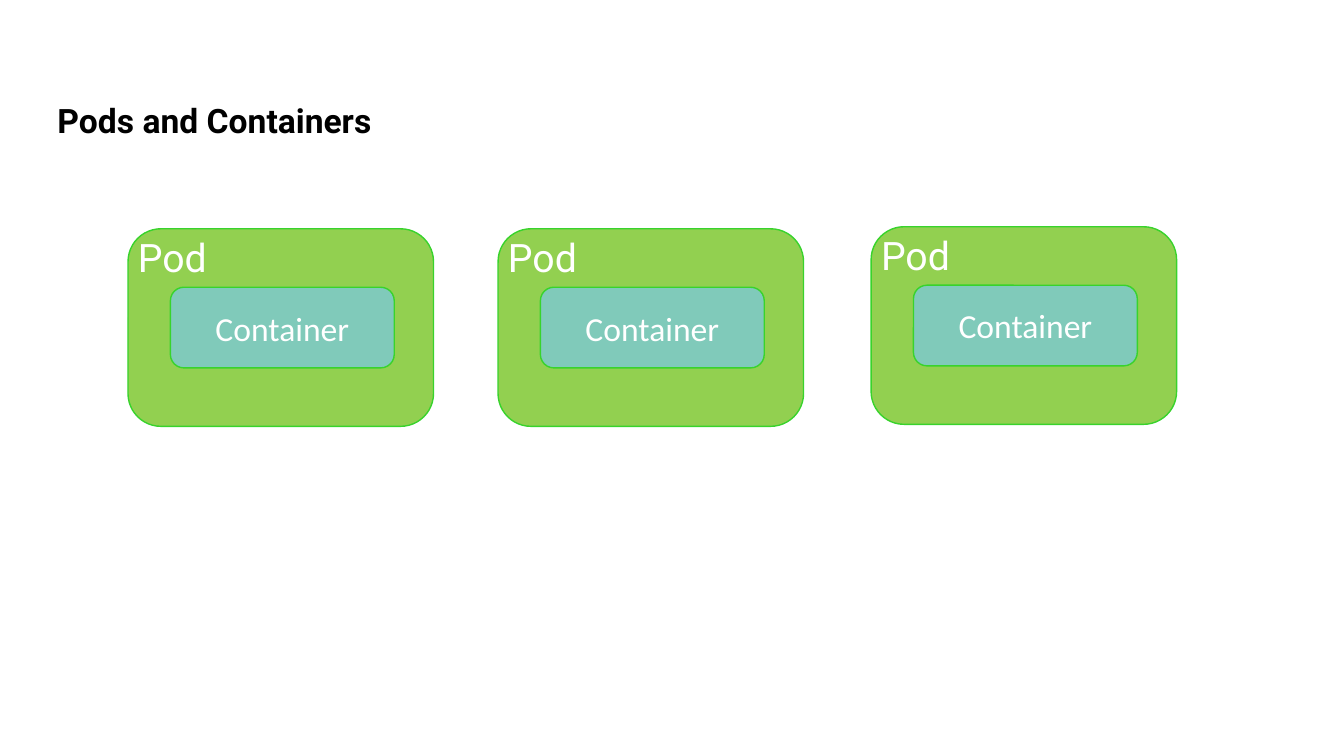
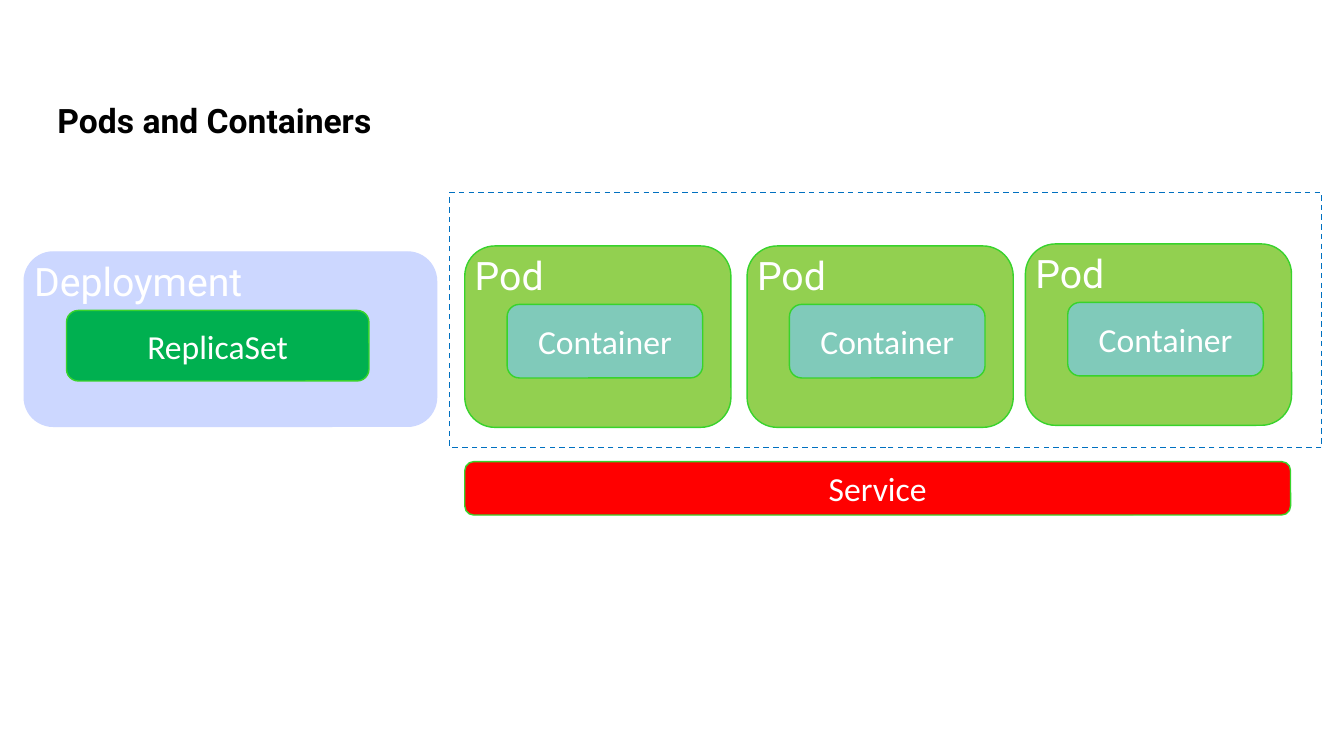
from dataclasses import dataclass
from pptx import Presentation
from pptx.dml.color import RGBColor as RGB
from pptx.enum.dml import MSO_LINE as Dash
from pptx.enum.shapes import MSO_SHAPE as Shape
from pptx.enum.text import MSO_ANCHOR as Anchor, MSO_AUTO_SIZE as Fit, PP_ALIGN as Align
from pptx.util import Pt

PX = 9144


@dataclass(frozen=True)
class Theme:
    ink: str = "000000"
    white: str = "FFFFFF"
    edge: str = "38D32C"
    pod: str = "92D050"
    box: str = "80CABA"
    deploy: str = "CCD7FF"
    replica: str = "00B050"
    service: str = "FF0000"
    dash: str = "0070C0"
    head: str = "Roboto"
    body: str = "Calibri"
    title: int = 24
    label: int = 28
    text: int = 24
    line: int = 1


T = Theme()
TITLE = "Pods and Containers"
TITLE_AT = (47, 94, 527, 91)
INSET = (42, 58)

POD = dict(label="Pod", fill=T.pod, edge=T.edge, inner="Container", tint=T.box)
DEPLOY = dict(label="Deployment", fill=T.deploy, edge=T.deploy,
              inner="ReplicaSet", tint=T.replica)

SLIDES = [
    dict(
        pods=[(127, 227), (494, 227), (864, 225)],
        pod=dict(size=(303, 196), core=(222, 80), wide=194),
    ),
    dict(
        pods=[(461, 244), (741, 244), (1017, 242)],
        pod=dict(size=(264, 180), core=(194, 73), wide=169),
        deploy=dict(spot=(24, 250), size=(409, 173), core=(300, 70), wide=262),
        service=("Service", (461, 458, 819, 53)),
        frame=(446, 191, 865, 253),
    ),
]


def emu(at):
    return [v * PX for v in at]


def write(frame, text, font, size, color, bold=False, align=Align.LEFT, anchor=Anchor.TOP):
    frame.word_wrap = True
    frame.auto_size = Fit.NONE
    frame.vertical_anchor = anchor
    frame.text = text
    para = frame.paragraphs[0]
    para.alignment = align
    face = para.runs[0].font
    face.name, face.size, face.bold = font, Pt(size), bold
    face.color.rgb = RGB.from_string(color)


def block(slide, at, fill, edge, text=None, kind=Shape.ROUNDED_RECTANGLE):
    shape = slide.shapes.add_shape(kind, *emu(at))
    shape.shadow.inherit = False
    if fill:
        shape.fill.solid()
        shape.fill.fore_color.rgb = RGB.from_string(fill)
    else:
        shape.fill.background()
    shape.line.color.rgb = RGB.from_string(edge)
    shape.line.width = Pt(T.line)
    if text:
        write(shape.text_frame, text, T.body, T.text, T.white,
              align=Align.CENTER, anchor=Anchor.MIDDLE)
    return shape


def card(slide, spot, size, core, wide, label, fill, edge, inner, tint):
    x, y = spot
    dx, dy = INSET
    block(slide, (x, y, *size), fill, edge)
    block(slide, (x + dx, y + dy, *core), tint, T.edge, inner)
    note = slide.shapes.add_textbox(*emu((x, y, wide, 57)))
    write(note.text_frame, label, T.head, T.label, T.white)


def build(deck, data):
    slide = deck.slides.add_slide(deck.slide_layouts.get_by_name("Title Only"))
    title = slide.shapes.title
    title.left, title.top, title.width, title.height = emu(TITLE_AT)
    write(title.text_frame, TITLE, T.head, T.title, T.ink, bold=True)
    for spot in data["pods"]:
        card(slide, spot, **data["pod"], **POD)
    if "service" in data:
        text, at = data["service"]
        block(slide, at, T.service, T.edge, text)
    if "deploy" in data:
        card(slide, **data["deploy"], **DEPLOY)
    if "frame" in data:
        frame = block(slide, data["frame"], None, T.dash, kind=Shape.RECTANGLE)
        frame.line.dash_style = Dash.DASH


def main():
    deck = Presentation()
    deck.slide_width, deck.slide_height = emu((1333, 750))
    for data in SLIDES:
        build(deck, data)
    deck.save("out.pptx")


if __name__ == "__main__":
    main()
